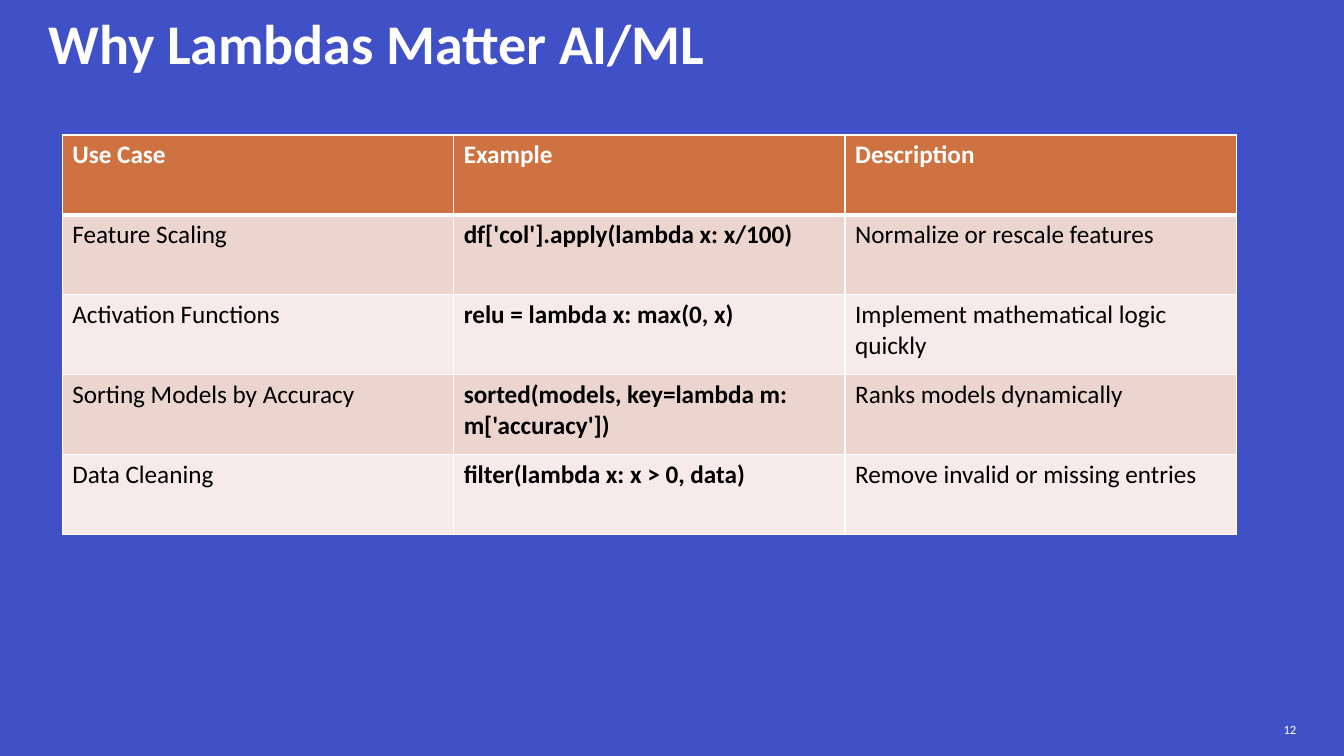
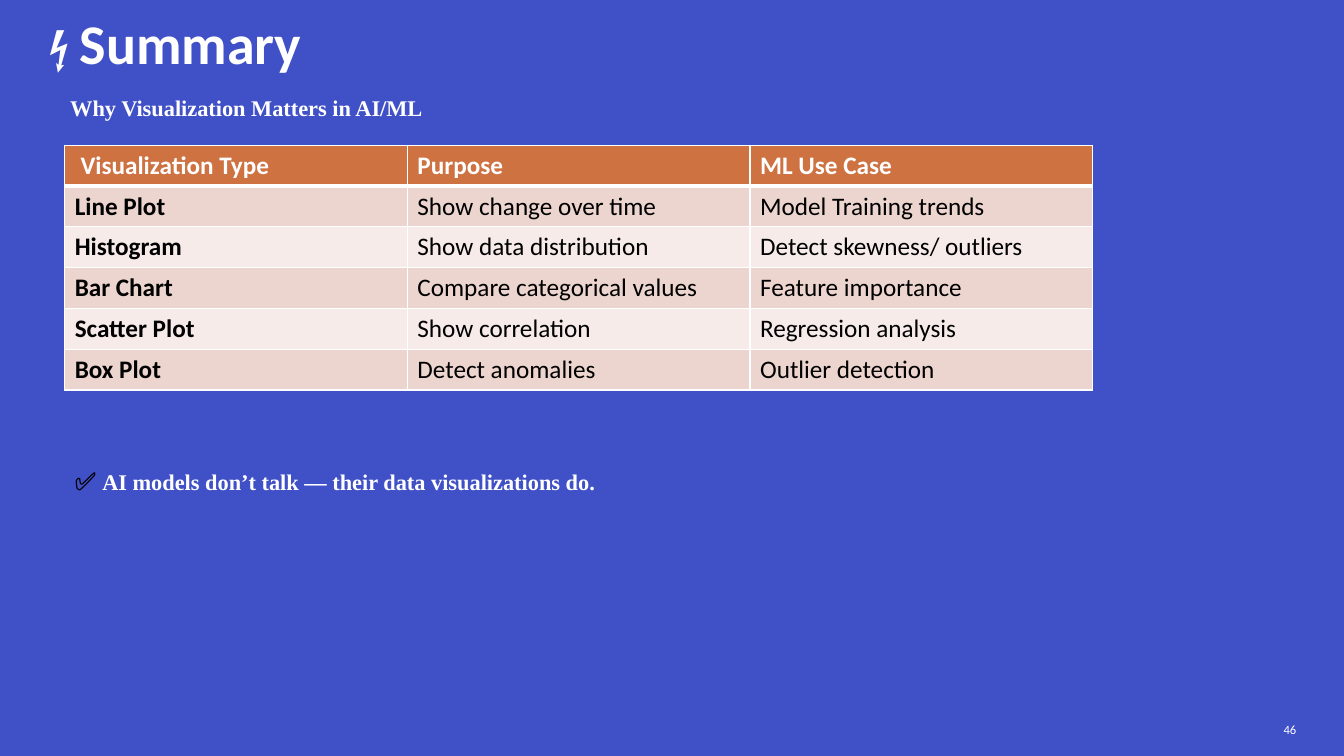
from lxml.etree import SubElement as Sub
from pptx import Presentation as Deck
from pptx.dml.color import RGBColor as Rgb
from pptx.enum.text import MSO_ANCHOR as Anchor, PP_ALIGN as Align
from pptx.oxml.ns import qn
from pptx.util import Cm, Pt

BACK, HEAD, BANDS = "4050C6", "CE7242", ("EDD5CF", "F6EBE9")
WHITE, BLACK = "FFFFFF", "000000"
SANS, SERIF = "Calibri", "Times New Roman"
TITLE = dict(name=SANS, size=Pt(40), bold=True, color=WHITE)
ICON = dict(TITLE, size=Pt(32))
NUMBER = dict(name=SANS, size=Pt(9), bold=False, color=WHITE)
NOTE = dict(name=SERIF, size=Pt(16), bold=True, color=WHITE)
CELL = dict(name=SANS, size=Pt(18), bold=False, color=BLACK)
TOP = dict(CELL, bold=True, color=WHITE)

CASES = [
    ("Use Case", "Example", "Description"),
    ("Feature Scaling", "df['col'].apply(lambda x: x/100)",
     "Normalize or rescale features"),
    ("Activation Functions", "relu = lambda x: max(0, x)",
     "Implement mathematical logic quickly"),
    ("Sorting Models by Accuracy",
     "sorted(models, key=lambda m: m['accuracy'])",
     "Ranks models dynamically"),
    ("Data Cleaning", "filter(lambda x: x > 0, data)",
     "Remove invalid or missing entries"),
]
PLOTS = [
    ("Visualization Type", "Purpose", "ML Use Case"),
    ("Line Plot", "Show change over time", "Model Training trends"),
    ("Histogram", "Show data distribution", "Detect skewness/ outliers"),
    ("Bar Chart", "Compare categorical values", "Feature importance"),
    ("Scatter Plot", "Show correlation", "Regression analysis"),
    ("Box Plot", "Detect anomalies", "Outlier detection"),
]


def paint(fill, tone):
    """Give a fill one solid colour."""
    fill.solid()
    fill.fore_color.rgb = Rgb.from_string(tone)


def write(para, text, style):
    """Add a run of text in a style."""
    run = para.add_run()
    run.text = text
    for key, value in style.items():
        if key == "color":
            run.font.color.rgb = Rgb.from_string(value)
        else:
            setattr(run.font, key, value)


def label(slide, box, runs, align=Align.LEFT, anchor=Anchor.TOP):
    """Place a text box holding one line of styled runs."""
    frame = slide.shapes.add_textbox(*map(Cm, box)).text_frame
    frame.word_wrap = True
    frame.vertical_anchor = anchor
    para = frame.paragraphs[0]
    para.alignment = align
    for text, style in runs:
        write(para, text, style)


def edge(cell, sides):
    """Draw white cell borders from side names and point widths."""
    props = cell._tc.get_or_add_tcPr()
    for side, width in sides.items():
        line = Sub(props, qn(f"a:ln{side}"), w=str(Pt(width)))
        fill = Sub(line, qn("a:solidFill"))
        Sub(fill, qn("a:srgbClr"), val=WHITE)


def grid(slide, box, rows, strong):
    """Place a banded table with equal cells and one bold column."""
    left, top, width, height = map(Cm, box)
    count, wide = len(rows), len(rows[0])
    table = slide.shapes.add_table(count, wide, left, top, width, height).table
    for col in table.columns:
        col.width = width // wide
    for r, row in enumerate(rows):
        table.rows[r].height = height // count
        for c, text in enumerate(row):
            cell = table.cell(r, c)
            edge(cell, dict(L=1, R=1, T=3 if r == 1 else 1, B=1 if r else 3))
            paint(cell.fill, BANDS[(r - 1) % 2] if r else HEAD)
            style = dict(CELL, bold=c == strong) if r else TOP
            write(cell.text_frame.paragraphs[0], text, style)
    return table


def base(deck, title, number):
    """Add a slide with the shared background, title and number."""
    slide = deck.slides.add_slide(deck.slide_layouts[6])
    paint(slide.background.fill, BACK)
    label(slide, (30, 17.88, 2.92, 1.02), [(number, NUMBER)],
          Align.RIGHT, Anchor.MIDDLE)
    label(slide, (0.97, 0.1, 31.45, 1.78), title)
    return slide


def lambdas(deck):
    """Build the slide of lambda use cases."""
    slide = base(deck, [("Why Lambdas Matter AI/ML", TITLE)], "12")
    grid(slide, (1.57, 3.4, 29.59, 10.06), CASES, 1)


def summary(deck):
    """Build the summary slide of plot types."""
    slide = base(deck, [("⚡ ", ICON), ("Summary", TITLE)], "46")
    label(slide, (1.63, 11.61, 20.68, 1.02),
          [("✅ ", CELL),
           ("AI models don’t talk — their data visualizations do.", NOTE)])
    label(slide, (1.52, 2.26, 12.83, 0.94),
          [("Why Visualization Matters in AI/ML", NOTE)])
    table = grid(slide, (1.63, 3.66, 25.91, 6.17), PLOTS, 0)
    table.cell(0, 0).margin_left = Cm(0.4)


def main():
    """Build and save the deck."""
    deck = Deck()
    deck.slide_width, deck.slide_height = Cm(33.87), Cm(19.05)
    lambdas(deck)
    summary(deck)
    deck.save("out.pptx")


if __name__ == "__main__":
    main()
